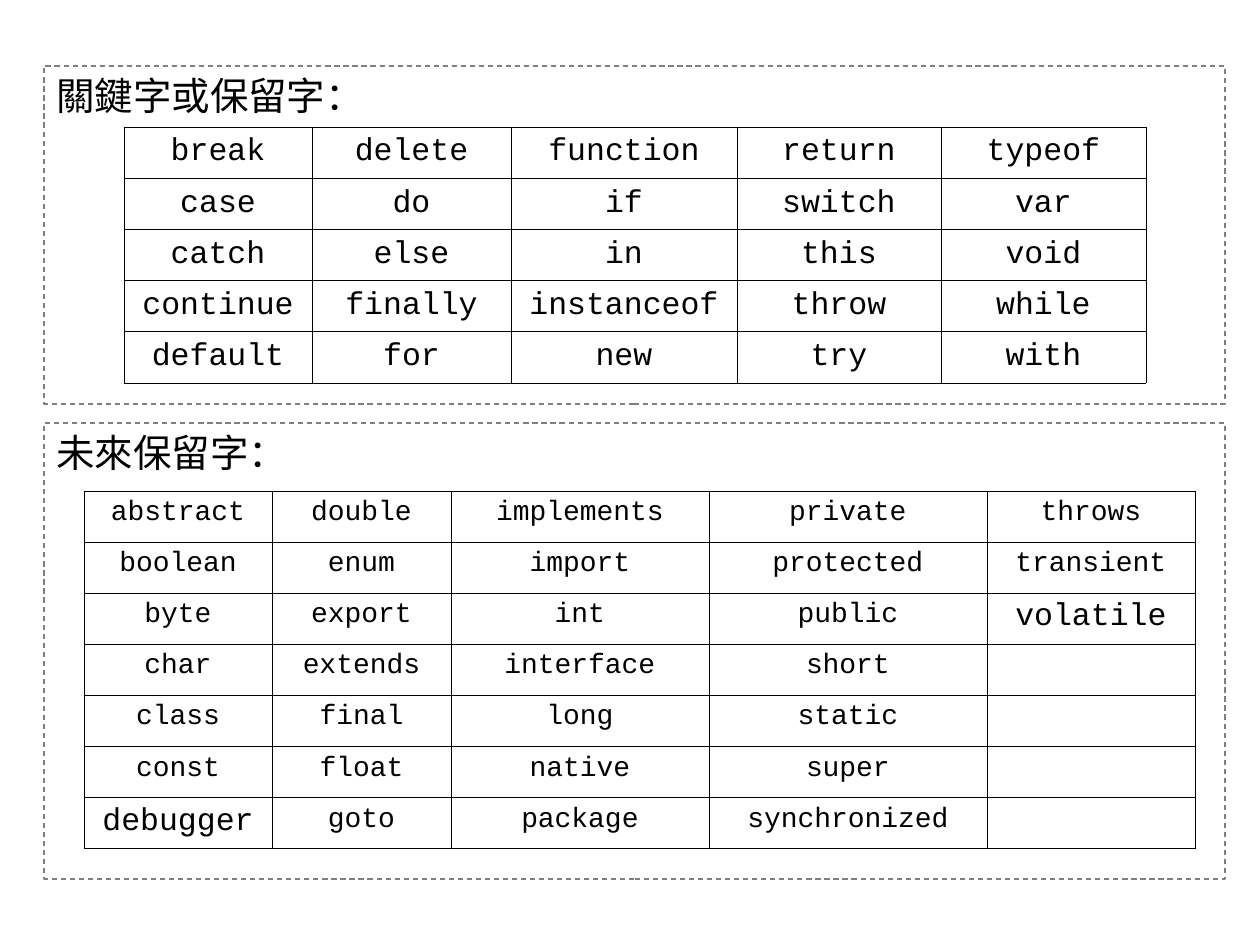
from pptx import Presentation
from pptx.dml.color import RGBColor
from pptx.enum.dml import MSO_LINE as Dash
from pptx.enum.shapes import MSO_SHAPE as Shape
from pptx.enum.text import MSO_ANCHOR as Anchor, PP_ALIGN as Align
from pptx.oxml import parse_xml
from pptx.oxml.ns import nsdecls
from pptx.util import Pt

SCALE = 914400 / 126
INK = "000000"
GRAY = "7F7F7F"
MONO = "Courier New"
SANS = "Arial"

KEYS = """
break delete function return typeof
case do if switch var
catch else in this void
continue finally instanceof throw while
default for new try with
"""

FUTURE = """
abstract double implements private throws
boolean enum import protected transient
byte export int public volatile
char extends interface short
class final long static
const float native super
debugger goto package synchronized
"""


def emu(px):
    return round(px * SCALE)


def color(text):
    return RGBColor.from_string(text)


class Page:
    def __init__(self, deck):
        self.slide = deck.slides.add_slide(deck.slide_layouts[6])
        self.edge = Pt(0.45)

    def style(self, para, face, size):
        para.font.name = face
        para.font.size = Pt(size)
        para.font.color.rgb = color(INK)

    def panel(self, top, high, title, face):
        box = self.slide.shapes.add_shape(
            Shape.RECTANGLE, emu(44), emu(top), emu(1181), emu(high))
        box.shadow.inherit = False
        box.fill.background()
        box.line.color.rgb = color(GRAY)
        box.line.width = Pt(0.75)
        box.line.dash_style = Dash.DASH
        frame = box.text_frame
        frame.word_wrap = True
        frame.vertical_anchor = Anchor.TOP
        para = frame.paragraphs[0]
        para.text = title
        para.alignment = Align.LEFT
        props = para._p.get_or_add_pPr()
        props.set("marL", str(emu(48)))
        props.set("indent", str(emu(-48)))
        self.style(para, face, 22)

    def border(self, cell):
        props = cell._tc.get_or_add_tcPr()
        for side in "LRTB":
            props.append(parse_xml(
                f'<a:ln{side} {nsdecls("a")} w="{self.edge}"><a:solidFill>'
                f'<a:srgbClr val="{INK}"/></a:solidFill></a:ln{side}>'))

    def grid(self, left, top, high, widths, words, size, anchor, large=()):
        rows = [line.split() for line in words.strip().splitlines()]
        table = self.slide.shapes.add_table(
            len(rows), len(widths), emu(left), emu(top),
            emu(sum(widths)), emu(high)).table
        table.first_row = False
        table.horz_banding = False
        for col, wide in zip(table.columns, widths):
            col.width = emu(wide)
        for r, row in enumerate(rows):
            for c in range(len(widths)):
                cell = table.cell(r, c)
                self.border(cell)
                cell.fill.background()
                cell.vertical_anchor = anchor
                if c < len(row):
                    para = cell.text_frame.paragraphs[0]
                    para.text = row[c]
                    para.alignment = Align.CENTER
                    self.style(para, MONO, 18 if row[c] in large else size)


def main():
    deck = Presentation()
    deck.slide_width = emu(1260)
    deck.slide_height = emu(945)
    page = Page(deck)
    page.panel(66, 338, "關鍵字或保留字：", MONO)
    page.grid(124, 127, 256, [188, 199, 226, 204, 205], KEYS, 18,
              Anchor.MIDDLE)
    page.panel(423, 456, "未來保留字：", SANS)
    page.grid(84, 491, 358, [188, 179, 258, 278, 208], FUTURE, 16,
              Anchor.TOP, ("volatile", "debugger"))
    deck.save("out.pptx")


if __name__ == "__main__":
    main()
